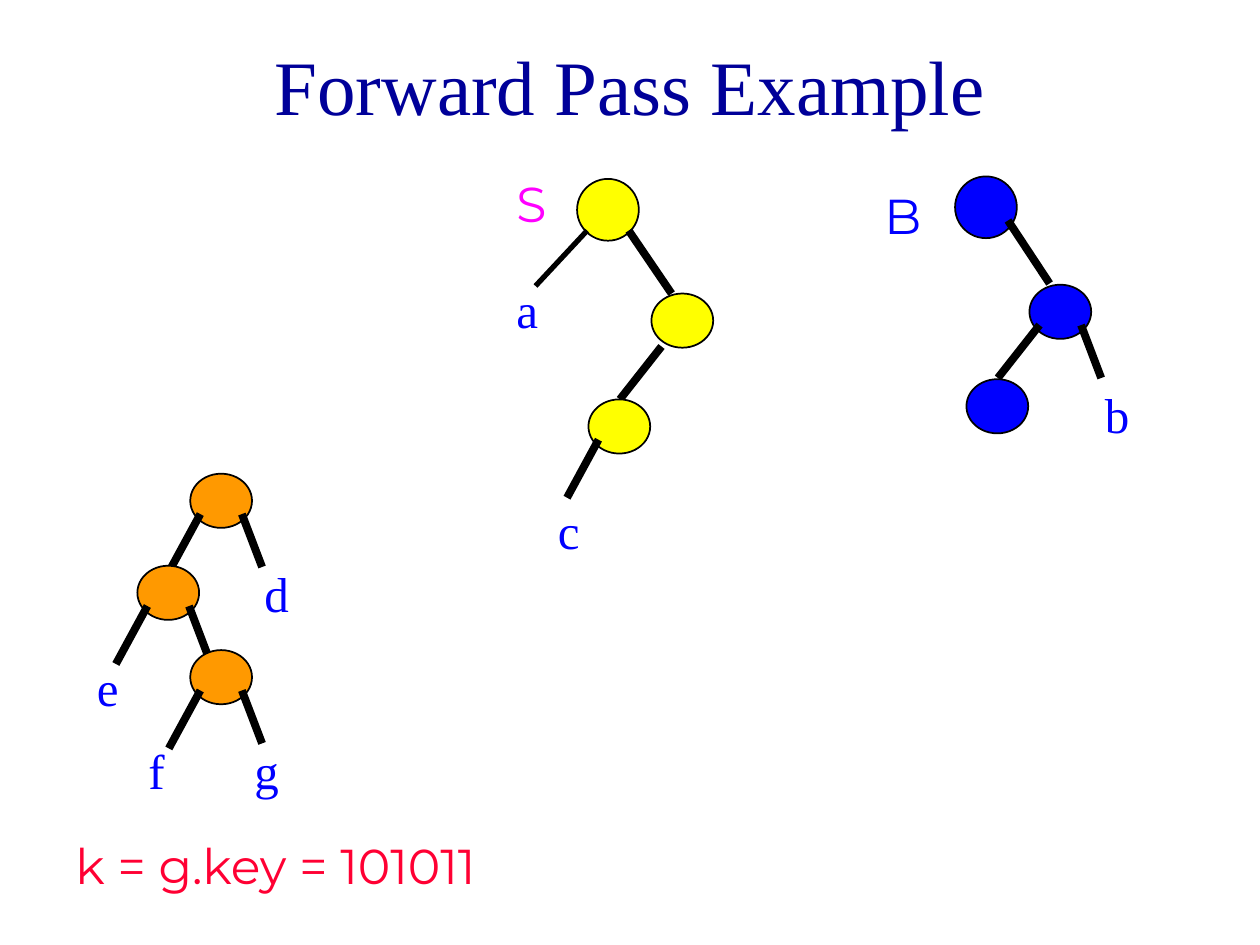
"""Build the Forward Pass Example slide with its three binary trees."""
from dataclasses import dataclass

from lxml import etree
from pptx import Presentation
from pptx.dml.color import RGBColor
from pptx.enum.shapes import MSO_CONNECTOR, MSO_SHAPE
from pptx.enum.text import MSO_ANCHOR, PP_ALIGN
from pptx.oxml.ns import qn
from pptx.slide import Slide
from pptx.util import Inches, Pt

STRAIGHT = MSO_CONNECTOR.STRAIGHT
OVAL = MSO_SHAPE.OVAL
TOP, MIDDLE = MSO_ANCHOR.TOP, MSO_ANCHOR.MIDDLE
LEFT, CENTER = PP_ALIGN.LEFT, PP_ALIGN.CENTER
SERIF, SANS = "Times New Roman", "Montserrat"
COLORS = {
    "title": "000099",
    "orange": "FF9900",
    "yellow": "FFFF00",
    "blue": "0000FF",
    "magenta": "FF00FF",
    "red": "FF0033",
    "black": "000000",
    "white": "FFFFFF",
}
NODE_WIDTH = 0.49


@dataclass(frozen=True)
class Branch:
    """A line whose ends are offsets from the corner of its node."""
    start_x: float
    start_y: float
    end_x: float
    end_y: float
    weight: float = 4.5


@dataclass(frozen=True)
class Node:
    """A tree node with the branches leaving it."""
    color: str
    left: float
    top: float
    branches: tuple[Branch, ...] = ()
    height: float = 0.43


@dataclass(frozen=True)
class Label:
    """A piece of text in its box."""
    text: str
    left: float
    top: float
    width: float = 0.5
    height: float = 0.57
    color: str = "blue"
    font: str = SERIF
    size: float = 28
    alignment: PP_ALIGN = LEFT
    anchor: MSO_ANCHOR = TOP
    fill: str = ""


LEFT_BRANCH = Branch(0.08, 0.32, -0.17, 0.78)
RIGHT_BRANCH = Branch(0.41, 0.32, 0.57, 0.74)
BOTH = (LEFT_BRANCH, RIGHT_BRANCH)

NODES = (
    Node("orange", 1.51, 3.76, BOTH),
    Node("orange", 1.09, 4.49, BOTH),
    Node("orange", 1.51, 5.16, BOTH),
    Node("yellow", 4.58, 1.42,
         (Branch(0.08, 0.41, -0.33, 0.85, 3), Branch(0.41, 0.41, 0.75, 0.91)), NODE_WIDTH),
    Node("yellow", 5.17, 2.33, (Branch(0.08, 0.42, -0.25, 0.84),)),
    Node("yellow", 4.67, 3.17, (LEFT_BRANCH,)),
    Node("blue", 7.58, 1.4, (Branch(0.42, 0.35, 0.75, 0.85),), NODE_WIDTH),
    Node("blue", 8.17, 2.26, (Branch(0.08, 0.32, -0.25, 0.74), RIGHT_BRANCH)),
    Node("blue", 7.67, 3.01),
)
LABELS = (
    Label("Forward Pass Example", 0.75, 0.17, 8.5, 1, "title", SERIF, 44, CENTER, MIDDLE),
    Label("d", 2, 4.42),
    Label("e", 0.67, 5.17),
    Label("f", 1.08, 5.83),
    Label("g", 1.92, 5.83),
    Label("a", 4, 2.17),
    Label("S", 4, 1.33, 0.58, color="magenta", font=SANS),
    Label("c", 4.33, 3.92),
    Label("b", 8.67, 3),
    Label("B", 6.92, 1.42, 0.58, font=SANS),
    Label("k = g.key = 101011", 0.5, 6.58, 5.42, color="red", font=SANS, fill="white"),
)


def rgb(name: str) -> RGBColor:
    """Look up a named colour."""
    return RGBColor.from_string(COLORS[name])


def draw_branch(slide: Slide, node: Node, branch: Branch) -> None:
    """Draw one branch of a node."""
    connector = slide.shapes.add_connector(
        STRAIGHT,
        Inches(node.left + branch.start_x), Inches(node.top + branch.start_y),
        Inches(node.left + branch.end_x), Inches(node.top + branch.end_y))
    connector.line.color.rgb = rgb("black")
    connector.line.width = Pt(branch.weight)
    etree.SubElement(connector._element.spPr, qn("a:effectLst"))


def draw_node(slide: Slide, node: Node) -> None:
    """Draw a node and its branches."""
    shape = slide.shapes.add_shape(
        OVAL, Inches(node.left), Inches(node.top), Inches(NODE_WIDTH), Inches(node.height))
    shape.shadow.inherit = False
    shape.fill.solid()
    shape.fill.fore_color.rgb = rgb(node.color)
    shape.line.color.rgb = rgb("black")
    shape.line.width = Pt(1)
    for branch in node.branches:
        draw_branch(slide, node, branch)


def draw_label(slide: Slide, label: Label) -> None:
    """Draw a text label."""
    shape = slide.shapes.add_textbox(
        Inches(label.left), Inches(label.top), Inches(label.width), Inches(label.height))
    if label.fill:
        shape.fill.solid()
        shape.fill.fore_color.rgb = rgb(label.fill)
    frame = shape.text_frame
    frame.word_wrap = True
    frame.vertical_anchor = label.anchor
    paragraph = frame.paragraphs[0]
    paragraph.alignment = label.alignment
    run = paragraph.add_run()
    run.text = label.text
    formats = {"name": label.font, "size": Pt(label.size)}
    for attribute, value in formats.items():
        setattr(run.font, attribute, value)
    run.font.color.rgb = rgb(label.color)


def main() -> None:
    """Create and save the presentation."""
    presentation = Presentation()
    presentation.slide_width = Inches(10)
    presentation.slide_height = Inches(7.5)
    slide = presentation.slides.add_slide(presentation.slide_layouts[6])
    for node in NODES:
        draw_node(slide, node)
    for label in LABELS:
        draw_label(slide, label)
    presentation.save("out.pptx")


main()
